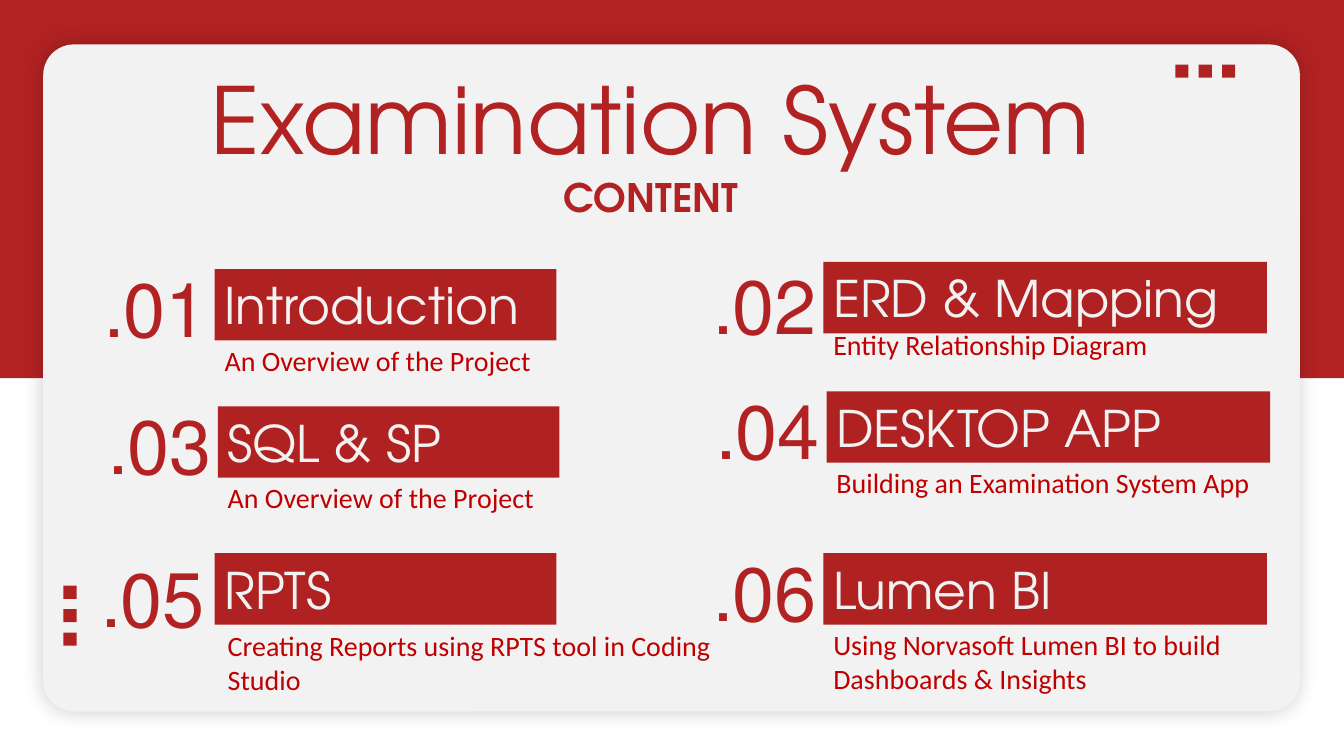
"""Build the contents slide of the Examination System deck."""
from dataclasses import dataclass

from lxml import etree
from pptx import Presentation
from pptx.dml.color import RGBColor
from pptx.enum.shapes import MSO_SHAPE
from pptx.enum.text import MSO_ANCHOR, MSO_AUTO_SIZE, PP_ALIGN
from pptx.oxml.ns import qn
from pptx.util import Cm, Pt

RECT, ROUND = MSO_SHAPE.RECTANGLE, MSO_SHAPE.ROUNDED_RECTANGLE
LEFT, MID, RIGHT = PP_ALIGN.LEFT, PP_ALIGN.CENTER, PP_ALIGN.RIGHT
TOP, FIXED = MSO_ANCHOR.TOP, MSO_AUTO_SIZE.NONE


@dataclass
class Theme:
    band: str = "B22222"
    bar: str = "B02222"
    note: str = "C00000"
    pale: str = "F2F2F2"
    head: str = "TeX Gyre Adventor"
    body: str = "Calibri"
    huge: int = 66
    large: int = 54
    mid: int = 36
    sub: int = 28
    small: int = 20


look = Theme()


def block(kind, x, y, w, h, color):
    shape = slide.shapes.add_shape(kind, Cm(x), Cm(y), Cm(w), Cm(h))
    shape.shadow.inherit = False
    shape.fill.solid()
    shape.fill.fore_color.rgb = RGBColor.from_string(color)
    shape.line.fill.background()
    return shape


def write(para, text, font=look.body, size=look.small, color=look.note,
          bold=False, align=LEFT):
    para.alignment = align
    para._p.get_or_add_pPr().set("rtl", "1")
    run = para.add_run()
    run.text = text
    run.font.name, run.font.size, run.font.bold = font, Pt(size), bold
    run.font.color.rgb = RGBColor.from_string(color)


deck = Presentation()
deck.slide_width, deck.slide_height = Cm(33.87), Cm(19.05)
slide = deck.slides.add_slide(deck.slide_layouts[5])

block(RECT, 0, 0, 33.87, 9.53, look.band)
panel = block(ROUND, 1.09, 1.12, 31.67, 16.81, look.pale)
panel.adjustments[0] = 0.046
effects = panel.element.spPr.find(qn("a:effectLst"))
glow = etree.SubElement(effects, qn("a:outerShdw"), blurRad=str(Pt(15)),
                        dist="0", dir="0", algn="ctr", rotWithShape="0")
tint = etree.SubElement(glow, qn("a:srgbClr"), val="000000")
etree.SubElement(tint, qn("a:alpha"), val="20000")

for step in range(3):
    block(RECT, 29.62 + 0.59 * step, 1.63, 0.33, 0.33, look.bar)
    block(RECT, 1.6, 14.76 + 0.59 * step, 0.33, 0.33, look.bar)

title = slide.shapes.title
panel.element.addnext(title.element)
title.left, title.top, title.width, title.height = Cm(4.85), Cm(1.45), Cm(23.09), Cm(4.27)
frame = title.text_frame
frame.word_wrap, frame.auto_size, frame.vertical_anchor = True, FIXED, TOP
write(frame.paragraphs[0], "Examination System", font=look.head, size=look.huge,
      color=look.band, align=MID)
write(frame.add_paragraph(), "CONTENT", font=look.head, size=look.sub,
      color=look.band, bold=True, align=MID)

# fmt: off
topics = [
    ("01.", "Introduction", "An Overview of the Project", 5.41, 6.78, 8.61, 0.3, 0, 1.75),
    ("02.", "ERD & Mapping", "Entity Relationship Diagram", 20.75, 6.6, 11.18, 0.2, 0, 1.52),
    ("03.", "SQL & SP", "An Overview of the Project", 5.49, 10.24, 8.61, 0.3, 0, 1.75),
    ("04.", "DESKTOP APP", "Building an Examination System App",
     20.83, 9.86, 11.18, 0.3, 0, 1.75),
    ("05.", "RPTS", "Creating Reports using RPTS tool in Coding Studio",
     5.41, 13.94, 8.61, 0.15, 0.08, 1.78),
    ("06.", "Lumen BI", "Using Norvasoft Lumen BI to build Dashboards & Insights",
     20.75, 13.94, 11.18, 0.3, 0, 1.75),
]
for num, head, note, x, y, wide, lift, shift, drop in topics:
    bar = block(RECT, x, y, wide, 1.8, look.bar)
    bar.text_frame.word_wrap = True
    write(bar.text_frame.paragraphs[0], head, font=look.head, size=look.mid,
          color=look.pale)
    span = 12.83 if shift else 11.94
    for text, left, top, width, height, form in (
        (num, x - 3.1 - shift, y - lift, 3.18, 2.57,
         dict(size=look.large, color=look.band, align=RIGHT)),
        (note, x + shift, y + drop, span, 1.12, {}),
    ):
        box = slide.shapes.add_textbox(Cm(left), Cm(top), Cm(width), Cm(height))
        box.text_frame.word_wrap = True
        write(box.text_frame.paragraphs[0], text, **form)

deck.save("out.pptx")
